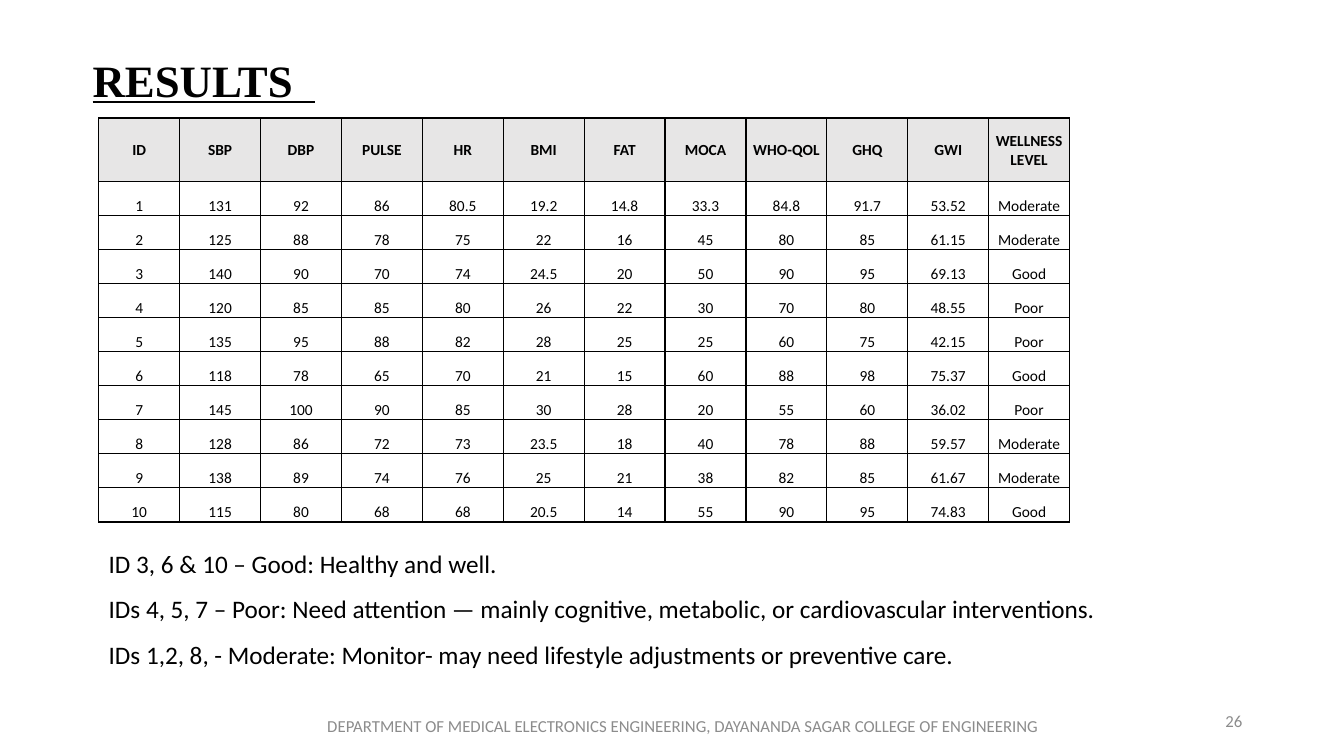
from dataclasses import dataclass, field
from typing import Any

from lxml.etree import SubElement
from pptx import Presentation
from pptx.dml.color import RGBColor
from pptx.enum.text import MSO_ANCHOR, PP_ALIGN
from pptx.oxml.ns import qn
from pptx.util import Emu, Pt

BLACK = RGBColor(0x00, 0x00, 0x00)
GREY = RGBColor(0x8C, 0x8C, 0x8C)
HEADER_FILL = RGBColor(0xE7, 0xE6, 0xE6)

HEADERS = ["ID", "SBP", "DBP", "PULSE", "HR", "BMI", "FAT", "MOCA",
           "WHO-QOL", "GHQ", "GWI", "WELLNESS LEVEL"]
RECORDS = """\
1 131 92 86 80.5 19.2 14.8 33.3 84.8 91.7 53.52 Moderate
2 125 88 78 75 22 16 45 80 85 61.15 Moderate
3 140 90 70 74 24.5 20 50 90 95 69.13 Good
4 120 85 85 80 26 22 30 70 80 48.55 Poor
5 135 95 88 82 28 25 25 60 75 42.15 Poor
6 118 78 65 70 21 15 60 88 98 75.37 Good
7 145 100 90 85 30 28 20 55 60 36.02 Poor
8 128 86 72 73 23.5 18 40 78 88 59.57 Moderate
9 138 89 74 76 25 21 38 82 85 61.67 Moderate
10 115 80 68 68 20.5 14 55 90 95 74.83 Good"""


def px(n: int) -> Emu:
    """One px is a hundredth of an inch."""
    return Emu(n * 9144)


@dataclass
class TextBlock:
    x: int
    y: int
    w: int
    h: int
    lines: list[str]
    font: dict[str, Any]
    para: dict[str, Any] = field(default_factory=dict)
    anchor: MSO_ANCHOR = MSO_ANCHOR.TOP


FOOTER_FONT = {"name": "Calibri", "size": Pt(12)}

BLOCKS = [
    # Title, with its underline running two spaces past the word
    TextBlock(82, 53, 1150, 91, ["RESULTS  "],
              {"name": "Times New Roman", "size": Pt(32), "bold": True, "underline": True},
              {"line_spacing": 0.9}),
    # Findings
    TextBlock(98, 524, 1090, 142, [
        "ID 3, 6 & 10 – Good: Healthy and well.",
        "IDs 4, 5, 7 – Poor: Need attention — mainly cognitive, metabolic, "
        "or cardiovascular interventions.",
        "IDs 1,2, 8, - Moderate: Monitor- may need lifestyle adjustments or preventive care.",
    ], {"name": "Calibri", "size": Pt(18)}, {"line_spacing": 1.5}),
    # Page number and footer
    TextBlock(942, 695, 300, 40, ["26"], FOOTER_FONT,
              {"alignment": PP_ALIGN.RIGHT}, MSO_ANCHOR.MIDDLE),
    TextBlock(308, 700, 739, 40,
              ["DEPARTMENT OF MEDICAL ELECTRONICS ENGINEERING, "
               "DAYANANDA SAGAR COLLEGE OF ENGINEERING"],
              FOOTER_FONT, {"alignment": PP_ALIGN.CENTER}, MSO_ANCHOR.MIDDLE),
]


def apply_format(target: Any, values: dict[str, Any]) -> None:
    for name, value in values.items():
        setattr(target, name, value)


def write(p: Any, text: str, font: dict[str, Any], para: dict[str, Any],
          color: RGBColor = BLACK) -> None:
    r = p.add_run()
    r.text = text
    apply_format(r.font, font)
    r.font.color.rgb = color
    apply_format(p, para)


def add_text(slide: Any, block: TextBlock) -> None:
    tf = slide.shapes.add_textbox(px(block.x), px(block.y), px(block.w), px(block.h)).text_frame
    apply_format(tf, {"word_wrap": True, "vertical_anchor": block.anchor})
    color = GREY if block.font is FOOTER_FONT else BLACK
    for i, line in enumerate(block.lines):
        p = tf.add_paragraph() if i else tf.paragraphs[0]
        write(p, line, block.font, block.para, color)


def add_borders(cell: Any) -> None:
    tc_pr = cell._tc.get_or_add_tcPr()
    for side in ("a:lnL", "a:lnR", "a:lnT", "a:lnB"):
        ln = SubElement(tc_pr, qn(side), w=str(Pt(1)))
        fill = SubElement(ln, qn("a:solidFill"))
        SubElement(fill, qn("a:srgbClr"), val=str(BLACK))


def add_results_table(slide: Any) -> None:
    rows = [HEADERS] + [line.split() for line in RECORDS.splitlines()]
    width, height, header_height = px(963), px(401), px(63)
    table = slide.shapes.add_table(len(rows), len(HEADERS), px(98), px(117), width, height).table
    apply_format(table, {"first_row": False, "horz_banding": False})
    for column in table.columns:
        column.width = Emu(width // len(HEADERS))
    for i, row in enumerate(rows):
        header = i == 0
        table.rows[i].height = (header_height if header
                                else Emu((height - header_height) // (len(rows) - 1)))
        for j, text in enumerate(row):
            cell = table.cell(i, j)
            apply_format(cell, {
                "margin_left": px(1), "margin_right": px(1),
                "margin_top": px(1), "margin_bottom": 0,
                "vertical_anchor": MSO_ANCHOR.MIDDLE if header else MSO_ANCHOR.BOTTOM,
            })
            add_borders(cell)
            if header:
                cell.fill.solid()
                cell.fill.fore_color.rgb = HEADER_FILL
            else:
                cell.fill.background()
            write(cell.text_frame.paragraphs[0], text,
                  {"name": "Calibri", "size": Pt(11), "bold": header},
                  {"alignment": PP_ALIGN.CENTER})


def main() -> None:
    prs = Presentation()
    apply_format(prs, {"slide_width": px(1333), "slide_height": px(750)})
    slide = prs.slides.add_slide(prs.slide_layouts[6])
    add_results_table(slide)
    for block in BLOCKS:
        add_text(slide, block)
    prs.save("out.pptx")


if __name__ == "__main__":
    main()
